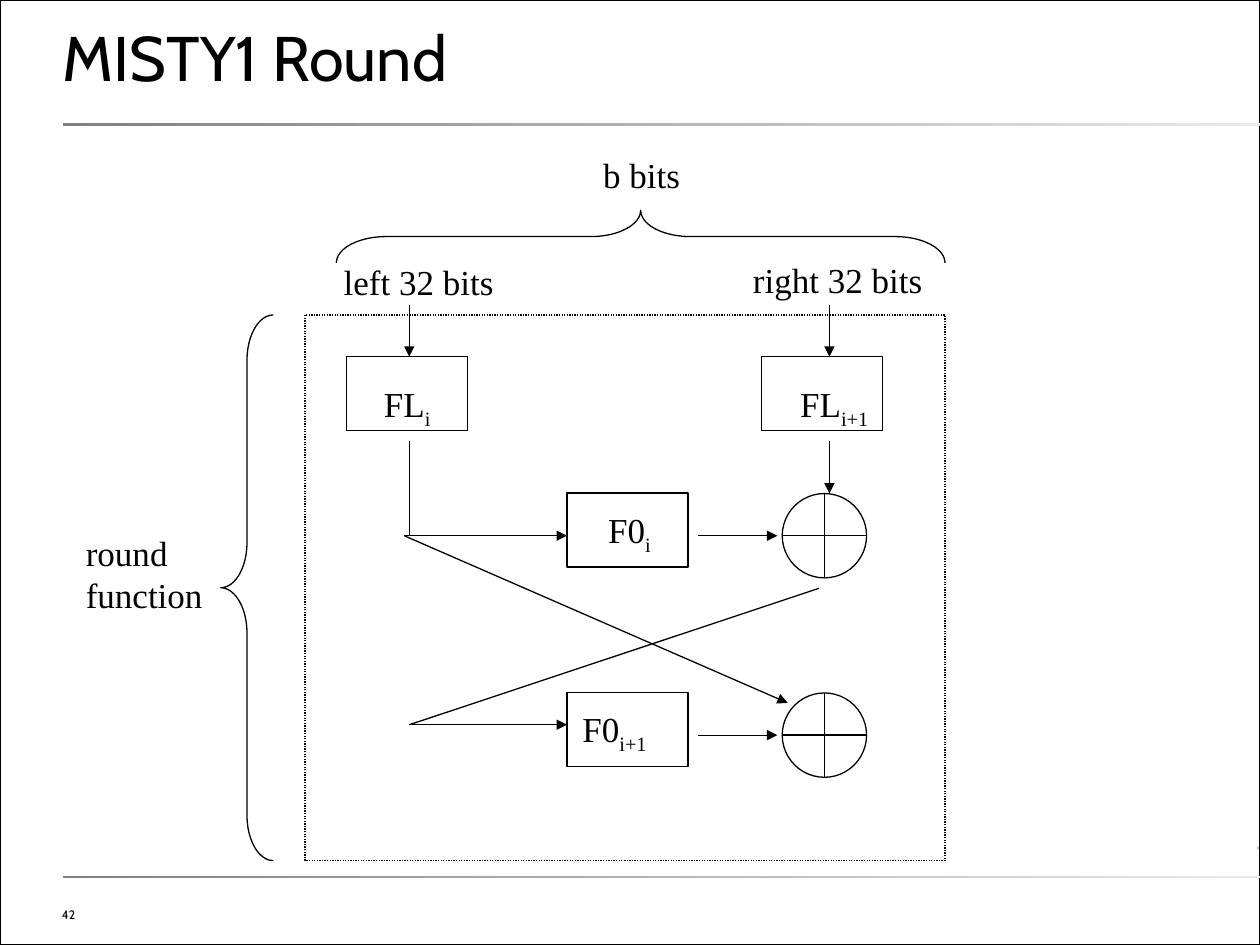
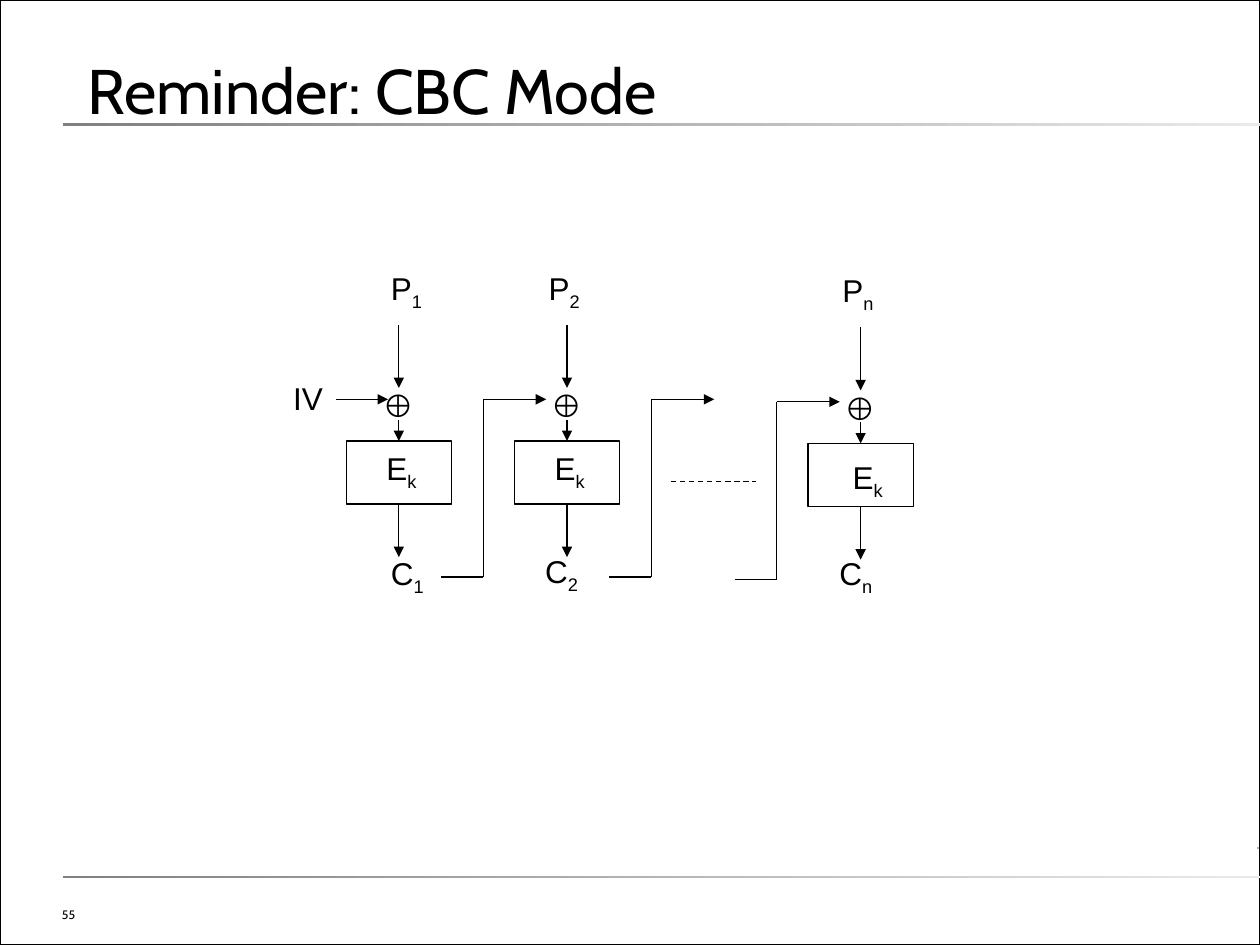
import pptx
import pptx.dml.color
import pptx.enum.dml
import pptx.enum.shapes
import pptx.enum.text
import pptx.oxml.ns
import pptx.util
from lxml import etree
from pptx.util import Cm

COLORS = {"ink": "000000", "paper": "FFFFFF", "rule_dark": "808080",
          "rule_light": "EAEAEA", "mark_light": "D5D5D5"}
SLIDE_WIDTH, SLIDE_HEIGHT = 25.4, 19.05
TITLE_FONT, CIPHER_FONT, MODE_FONT = "Cabin", "Times New Roman", "Arial"
LINE_WIDTH = 0.75
SHAPES = pptx.enum.shapes.MSO_SHAPE
DASHES = pptx.enum.dml.MSO_LINE
ANCHORS = pptx.enum.text.MSO_ANCHOR


def rgb(name):
    return pptx.dml.color.RGBColor.from_string(COLORS[name])


def add_text(slide, text, left, top, width, height, font=MODE_FONT, size=18,
             anchor=ANCHORS.TOP, insets=(0.25, 0.13), spacing=None):
    """Write text; a newline starts a paragraph, an underscore a subscript."""
    box = slide.shapes.add_textbox(Cm(left), Cm(top), Cm(width), Cm(height))
    frame = box.text_frame
    frame.word_wrap = True
    frame.auto_size = pptx.enum.text.MSO_AUTO_SIZE.NONE
    frame.vertical_anchor = anchor
    frame.margin_left, frame.margin_right = Cm(insets[0]), 0
    frame.margin_top = frame.margin_bottom = Cm(insets[1])
    for index, line in enumerate(text.split("\n")):
        paragraph = frame.add_paragraph() if index else frame.paragraphs[0]
        if spacing:
            paragraph.line_spacing = pptx.util.Pt(spacing)
        for level, part in enumerate(line.split("_")):
            run = paragraph.add_run()
            run.text = part
            run.font.name = font
            run.font.size = pptx.util.Pt(size)
            run.font.color.rgb = rgb("ink")
            if level:
                run._r.get_or_add_rPr().set("baseline", "-25000")


def add_outline(slide, kind, left, top, width, height, weight=LINE_WIDTH, dash=None):
    shape = slide.shapes.add_shape(kind, Cm(left), Cm(top), Cm(width), Cm(height))
    shape.shadow.inherit = False
    shape.fill.background()
    shape.line.color.rgb = rgb("ink")
    shape.line.width = pptx.util.Pt(weight)
    if dash:
        shape.line.dash_style = dash
    return shape


def add_line(slide, start, end, arrow=False, dash=None):
    connector = slide.shapes.add_connector(
        pptx.enum.shapes.MSO_CONNECTOR.STRAIGHT, *map(Cm, start + end))
    connector.line.color.rgb = rgb("ink")
    connector.line.width = pptx.util.Pt(LINE_WIDTH)
    if dash:
        connector.line.dash_style = dash
    if arrow:
        tail = etree.SubElement(connector.line._get_or_add_ln(),
                                pptx.oxml.ns.qn("a:tailEnd"))
        tail.set("type", "triangle")
    etree.SubElement(connector._element.spPr, pptx.oxml.ns.qn("a:effectLst"))


def add_gradient_bar(slide, left, top, width, height, light="rule_light"):
    bar = slide.shapes.add_shape(SHAPES.RECTANGLE, Cm(left), Cm(top), Cm(width), Cm(height))
    bar.shadow.inherit = False
    bar.line.fill.background()
    bar.fill.gradient()
    bar.fill.gradient_angle = 0
    for stop, name in zip(bar.fill.gradient_stops, ("rule_dark", light)):
        stop.color.rgb = rgb(name)


def add_base_slide(presentation, number):
    """Add a slide with the shared border, rules and page number."""
    slide = presentation.slides.add_slide(presentation.slide_layouts[6])
    slide.background.fill.solid()
    slide.background.fill.fore_color.rgb = rgb("paper")
    add_gradient_bar(slide, 25.35, 17.07, 0.03, 0.05, "mark_light")
    add_outline(slide, SHAPES.RECTANGLE, 0, 0, SLIDE_WIDTH, SLIDE_HEIGHT, weight=1)
    for top in (2.48, 17.65):
        add_gradient_bar(slide, 1.27, top, 24.2, 0.06)
    add_text(slide, str(number), 1, 18.14, 8.86, 0.58, font=TITLE_FONT, size=7,
             anchor=ANCHORS.BOTTOM)
    return slide


def add_brace(slide, left, top, width, height, curve):
    """Draw a left brace, turned to open downwards when the box is wide."""
    wide = width > height
    if wide:
        left, top = left + (width - height) / 2, top + (height - width) / 2
        width, height = height, width
    brace = add_outline(slide, SHAPES.LEFT_BRACE, left, top, width, height)
    brace.adjustments[0] = curve
    brace.rotation = 90 if wide else 0


def draw_round(slide, left, top, width, height):
    """Draw the round function in its frame, with braces and labels outside."""
    def at(x, y):
        return left + x, top + y

    add_outline(slide, SHAPES.RECTANGLE, left, top, width, height, dash=DASHES.ROUND_DOT)
    add_brace(slide, *at(-1.7, 0), 1.06, height, 0.86)
    add_brace(slide, *at(0.63, -2.11), width - 0.63, 1.06, 0.95)

    function_boxes = [("FL_i", 0.83, 0.84, 0.51, 0.4, 1.45),
                      ("FL_i+1", 9.2, 0.84, 0.53, 0.4, 1.88),
                      ("F0_i", 5.28, 3.59, 0.58, 0.18, 1.37),
                      ("F0_i+1", 5.28, 7.61, 0.06, 0.18, 1.8)]
    for text, x, y, text_x, text_y, text_width in function_boxes:
        add_outline(slide, SHAPES.RECTANGLE, *at(x, y), 2.44, 1.49)
        add_text(slide, text, *at(x + text_x, y + text_y), text_width, 1.22,
                 font=CIPHER_FONT, size=20)

    labels = [("b bits", 5.76, -3.38, 2.06, 1.12),
              ("left 32 bits", 0.53, -1.23, 3.53, 1.12),
              ("right 32 bits", 8.78, -1.27, 3.91, 1.12),
              ("round\nfunction", -4.67, 4.24, 2.87, 1.96)]
    for text, x, y, label_width, label_height in labels:
        add_text(slide, text, *at(x, y), label_width, label_height,
                 font=CIPHER_FONT, size=20)

    left_branch, right_branch = 2.1, 10.57
    for xor_top in (3.6, 7.62):
        add_outline(slide, SHAPES.FLOWCHART_OR, *at(9.62, xor_top), 1.7, 1.7)
        add_line(slide, at(7.92, xor_top + 0.85), at(9.52, xor_top + 0.85), arrow=True)
    for branch in (left_branch, right_branch):
        add_line(slide, at(branch, -0.2), at(branch, 0.84), arrow=True)
    add_line(slide, at(left_branch, 2.54), at(left_branch, 4.45))
    add_line(slide, at(right_branch, 2.54), at(right_branch, 3.6), arrow=True)
    add_line(slide, at(2, 4.45), at(5.28, 4.45), arrow=True)
    add_line(slide, at(2, 4.45), at(9.73, 7.82), arrow=True)
    add_line(slide, at(10.36, 5.51), at(left_branch, 8.26))
    add_line(slide, at(left_branch, 8.26), at(5.28, 8.26), arrow=True)


def draw_feedback(slide, left, top):
    """Lead the previous ciphertext into the stage whose box starts here."""
    bend = left - 0.63
    add_line(slide, (bend - 0.85, top + 2.74), (bend, top + 2.74))
    add_line(slide, (bend, top - 0.84), (bend, top + 2.74))
    add_line(slide, (bend, top - 0.84), (bend + 1.27, top - 0.84), arrow=True)


def draw_stage(slide, left, top, index, plain_x, cipher_x, cipher_y, key_x, key_y):
    """Draw one encryption stage around its box at left, top."""
    add_outline(slide, SHAPES.RECTANGLE, left, top, 2.12, 1.27)
    center = left + 1.06
    for start, end in ((-2.34, -1.07), (-0.43, 0), (1.27, 2.34)):
        add_line(slide, (center, top + start), (center, top + end), arrow=True)
    texts = [(f"P_{index}", plain_x, -3.6, 1.14), ("⊕", 0.48, -1.23, 1.02),
             ("E_k", key_x, key_y, 1.12), (f"C_{index}", cipher_x, cipher_y, 1.17)]
    for text, x, y, width in texts:
        add_text(slide, text, left + x, top + y, width, 1.12)


def draw_chain(slide, left, top):
    """Draw the chain of stages, with the first box at left, top."""
    pitch = 3.39
    last_left, last_top = left + 9.31, top + 0.05
    draw_stage(slide, left, top, "1", 0.65, 0.65, 2.15, 0.56, 0.04)
    draw_stage(slide, left + pitch, top, "2", 0.44, 0.37, 2.11, 0.56, 0.04)
    draw_stage(slide, last_left, last_top, "n", 0.44, 0.38, 2.1, 0.65, 0.16)
    for x, y in ((left + pitch, top), (left + 2 * pitch, top), (last_left, last_top)):
        draw_feedback(slide, x, y)
    add_text(slide, "IV", left - 1.32, top - 1.37, 1.09, 1.02)
    add_line(slide, (left - 0.2, top - 0.84), (left + 0.84, top - 0.84), arrow=True)
    add_line(slide, (left + 6.55, top + 0.81), (left + 8.25, top + 0.81), dash=DASHES.DASH)


def main():
    presentation = pptx.Presentation()
    presentation.slide_width = Cm(SLIDE_WIDTH)
    presentation.slide_height = Cm(SLIDE_HEIGHT)

    round_slide = add_base_slide(presentation, 42)
    add_text(round_slide, "MISTY1 Round", 1.27, 0, 22.86, 1.9, font=TITLE_FONT, size=36,
             anchor=ANCHORS.BOTTOM, insets=(0, 0), spacing=26)
    draw_round(round_slide, 6.15, 6.35, 12.9, 11)

    mode_slide = add_base_slide(presentation, 55)
    add_text(mode_slide, "Reminder: CBC Mode", 1.52, 0.91, 13.18, 1.78,
             font=TITLE_FONT, size=36)
    draw_chain(mode_slide, 6.98, 8.89)

    presentation.save("out.pptx")


if __name__ == "__main__":
    main()
